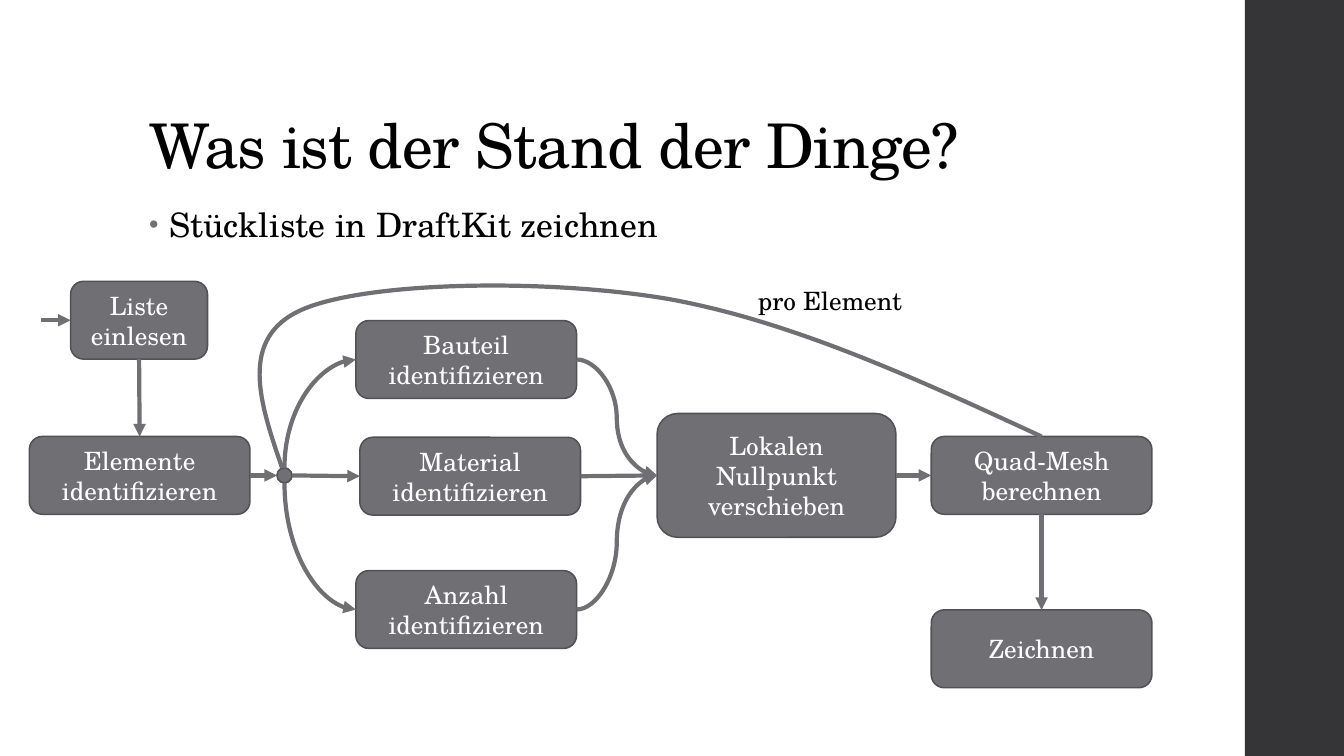
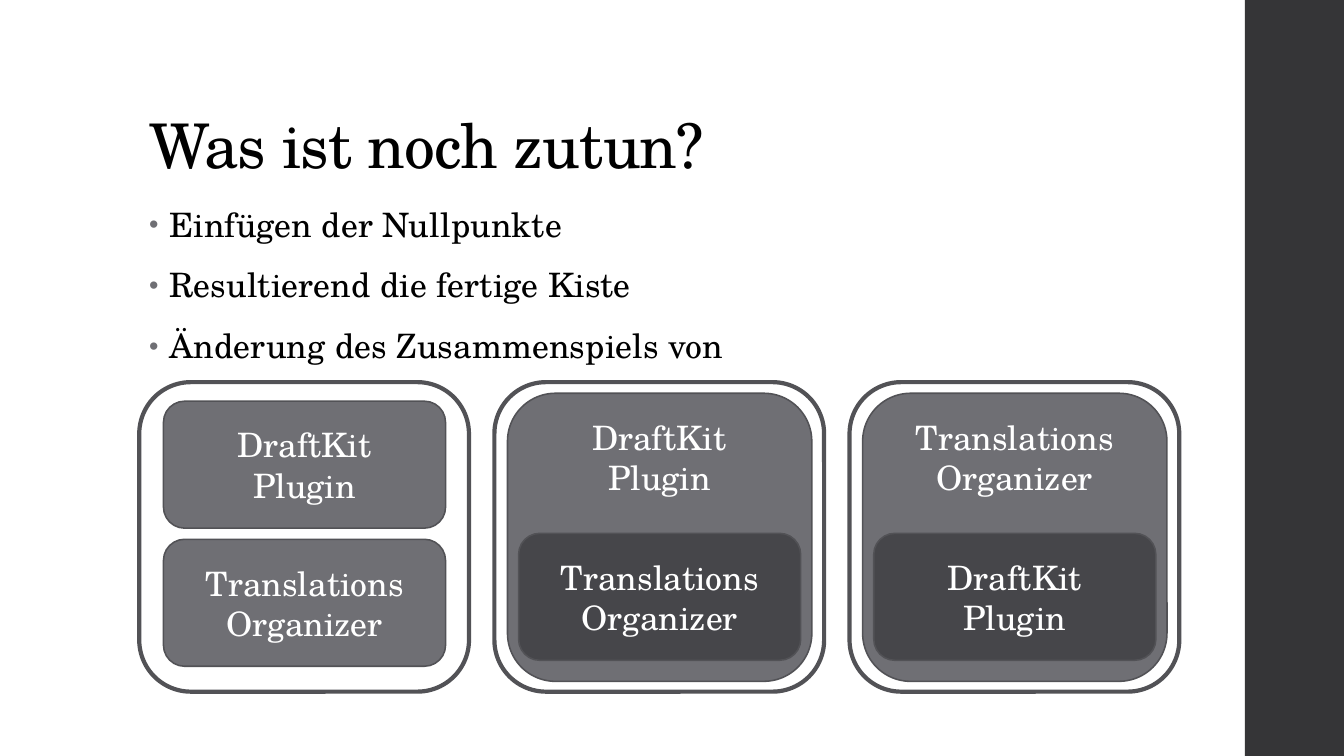
import pptx
import pptx.dml.color
import pptx.enum.shapes
import pptx.enum.text
import pptx.oxml
import pptx.oxml.ns
import pptx.util
from lxml import etree

Cm = pptx.util.Cm
Pt = pptx.util.Pt
qn = pptx.oxml.ns.qn
SHAPE = pptx.enum.shapes.MSO_SHAPE
CONNECTOR = pptx.enum.shapes.MSO_CONNECTOR
ALIGN = pptx.enum.text.PP_ALIGN
ANCHOR = pptx.enum.text.MSO_ANCHOR

FONT = "TeX Gyre Schola"
BLACK, WHITE = "000000", "FFFFFF"
BAND, GREY, DARK, EDGE = "353537", "6F6F74", "46464A", "525256"
TOP, LEFT, BOTTOM, RIGHT = range(4)
STEP_W, STEP_H = 5.56, 1.96
CARD_W, CARD_H = 8.31, 7.8
PART_W, PART_H = 7.11, 3.2


def rgb(code):
    return pptx.dml.color.RGBColor.from_string(code)


def add_bullet(paragraph):
    props = paragraph._p.get_or_add_pPr()
    props.set("marL", str(Cm(0.5)))
    props.set("indent", str(-Cm(0.5)))
    colour = etree.SubElement(props, qn("a:buClr"))
    etree.SubElement(colour, qn("a:srgbClr"), val=GREY)
    etree.SubElement(props, qn("a:buSzPct"), val="80000")
    etree.SubElement(props, qn("a:buFont"), typeface="Arial")
    etree.SubElement(props, qn("a:buChar"), char="•")


def write(shape, text, size=18, color=WHITE, align=ALIGN.CENTER, anchor=ANCHOR.MIDDLE,
          wrap=True, tracking=0, spacing=None, before=0, after=0, bullet=False):
    frame = shape.text_frame
    frame.word_wrap = wrap
    frame.vertical_anchor = anchor
    for index, line in enumerate(text.split("\n")):
        paragraph = frame.add_paragraph() if index else frame.paragraphs[0]
        paragraph.alignment = align
        paragraph.line_spacing = spacing
        paragraph.space_before = Pt(before)
        paragraph.space_after = Pt(after)
        if bullet:
            add_bullet(paragraph)
        run = paragraph.add_run()
        run.text = line
        run.font.name = FONT
        run.font.size = Pt(size)
        run.font.color.rgb = rgb(color)
        if tracking:
            run._r.get_or_add_rPr().set("spc", str(tracking))


def add_text(slide, left, top, width, height, text, **style):
    box = slide.shapes.add_textbox(Cm(left), Cm(top), Cm(width), Cm(height))
    write(box, text, **style)


def add_box(slide, left, top, width, height, text="", kind=SHAPE.ROUNDED_RECTANGLE,
            fill=GREY, edge=EDGE, weight=1.1, size=18):
    box = slide.shapes.add_shape(kind, Cm(left), Cm(top), Cm(width), Cm(height))
    box.shadow.inherit = False
    if fill:
        box.fill.solid()
        box.fill.fore_color.rgb = rgb(fill)
    else:
        box.fill.background()
    if edge:
        box.line.color.rgb = rgb(edge)
        box.line.width = Pt(weight)
    else:
        box.line.fill.background()
    if text:
        write(box, text, size=size)
    return box


def add_arrow(slide, source, source_side, target, target_side, kind=CONNECTOR.STRAIGHT):
    arrow = slide.shapes.add_connector(kind, 0, 0, 0, 0)
    for shape, side, connect, tag in (
        (source, source_side, arrow.begin_connect, "a:stCxn"),
        (target, target_side, arrow.end_connect, "a:endCxn"),
    ):
        connect(shape, side)
        if shape.auto_shape_type == SHAPE.OVAL:
            next(arrow._element.iter(qn(tag))).set("idx", str(2 * side))
    style_arrow(arrow)
    return arrow


def style_arrow(arrow):
    arrow.line.color.rgb = rgb(GREY)
    arrow.line.width = Pt(3)
    props = arrow._element.spPr
    etree.SubElement(props.find(qn("a:ln")), qn("a:tailEnd"), type="triangle")
    etree.SubElement(props, qn("a:effectLst"))


def add_quarter_arrow(slide, source, side, target):
    arrow = add_arrow(slide, source, side, target, LEFT, CONNECTOR.CURVE)
    middle_x = arrow.left + arrow.width // 2
    middle_y = arrow.top + arrow.height // 2
    arrow.width, arrow.height = arrow.height, arrow.width
    arrow.left = middle_x - arrow.width // 2
    arrow.top = middle_y - arrow.height // 2
    props = arrow._element.spPr
    props.find(qn("a:prstGeom")).set("prst", "curvedConnector2")
    frame = props.find(qn("a:xfrm"))
    frame.set("rot", "5400000" if side == TOP else "16200000")
    frame.set("flipH", "1")
    frame.set("flipV", "1" if side == TOP else "0")


def add_curve(slide, points):
    start, *rest = [(Cm(x), Cm(y)) for x, y in points]
    builder = slide.shapes.build_freeform(*start)
    builder.add_line_segments(rest, close=False)
    curve = builder.convert_to_shape()
    curve.shadow.inherit = False
    curve.fill.background()
    curve.line.color.rgb = rgb(GREY)
    curve.line.width = Pt(3)
    outline = next(curve._element.iter(qn("a:path")))
    segments = outline.findall(qn("a:lnTo"))
    for index in range(0, len(segments), 3):
        bezier = etree.SubElement(outline, qn("a:cubicBezTo"))
        for segment in segments[index:index + 3]:
            bezier.append(segment[0])
            outline.remove(segment)


def add_page(deck, title, points):
    slide = deck.slides.add_slide(deck.slide_layouts[6])
    add_box(slide, 31.37, 0, 2.54, 19.05, kind=SHAPE.RECTANGLE, fill=BAND, edge=None)
    add_text(slide, 3.51, 1.02, 26.92, 3.68, title, size=44, color=BLACK,
             align=ALIGN.LEFT, anchor=ANCHOR.BOTTOM, tracking=-50, spacing=0.9)
    add_text(slide, 3.51, 5.08, 23.88, 1.63 * len(points), "\n".join(points), size=24,
             color=BLACK, align=ALIGN.LEFT, anchor=ANCHOR.TOP, tracking=10,
             spacing=0.95, before=14, after=2, bullet=True)
    return slide


def add_flow(slide, left, top):
    def step(x, y, text, width=STEP_W, height=STEP_H):
        return add_box(slide, left + x, top + y, width, height, text)

    read = step(1.04, 0.03, "Liste\neinlesen", width=3.45)
    elements = step(0, 3.94, "Elemente identifizieren")
    component = step(8.23, 1.02, "Bauteil identifizieren")
    amount = step(8.23, 7.32, "Anzahl identifizieren")
    material = step(8.33, 3.96, "Material identifizieren")
    origin = step(15.82, 3.36, "Lokalen Nullpunkt verschieben", width=6.02, height=3.12)
    mesh = step(22.73, 3.94, "Quad-Mesh berechnen")
    draw = step(22.73, 8.31, "Zeichnen")
    junction = add_box(slide, left + 6.24, top + 4.73, 0.38, 0.38, kind=SHAPE.OVAL)

    entry = slide.shapes.add_connector(
        CONNECTOR.STRAIGHT, Cm(left + 0.3), Cm(top + 1.01), Cm(left + 1.04), Cm(top + 1.01))
    entry.end_connect(read, LEFT)
    style_arrow(entry)
    for source, source_side, target, target_side in (
        (read, BOTTOM, elements, TOP),
        (elements, RIGHT, junction, LEFT),
        (junction, RIGHT, material, LEFT),
        (material, RIGHT, origin, LEFT),
        (origin, RIGHT, mesh, LEFT),
        (mesh, BOTTOM, draw, TOP),
    ):
        add_arrow(slide, source, source_side, target, target_side)
    for side, branch in ((TOP, component), (BOTTOM, amount)):
        add_quarter_arrow(slide, junction, side, branch)
        add_arrow(slide, branch, RIGHT, origin, LEFT, CONNECTOR.CURVE)

    loop = [(25.51, 3.94), (22.37, 2.49), (19.22, 1.04), (16.13, 0.48), (13.05, -0.05),
            (8.51, 0.03), (6.88, 0.74), (5.25, 1.45), (5.81, 3.1), (6.37, 4.73)]
    add_curve(slide, [(left + x, top + y) for x, y in loop])
    add_text(slide, left + 18.11, top, 4.19, 1.02, "pro Element", color=BLACK,
             align=ALIGN.LEFT, anchor=ANCHOR.TOP, wrap=False)


def add_outline(slide, left, top):
    add_box(slide, left, top, CARD_W, CARD_H, fill=None, weight=3)


def add_stacked_card(slide, left, top, upper, lower):
    for y, text in ((0.48, upper), (3.96, lower)):
        add_box(slide, left + 0.61, top + y, PART_W, PART_H, text, size=24)
    add_outline(slide, left, top)


def add_nested_card(slide, left, top, outer, inner):
    add_box(slide, left + 0.33, top + 0.28, 7.67, 7.26)
    add_outline(slide, left, top)
    add_box(slide, left + 0.61, top + 3.81, PART_W, PART_H, inner, fill=DARK, size=24)
    add_text(slide, left + 1.05, top + 0.74, 6.22, 2.31, outer, size=24, anchor=ANCHOR.TOP)


def add_variants(slide, left, top):
    plugin, organizer = "DraftKit\nPlugin", "Translations\nOrganizer"
    variants = (
        (add_stacked_card, plugin, organizer),
        (add_nested_card, plugin, organizer),
        (add_nested_card, organizer, plugin),
    )
    for index, (add_card, first, second) in enumerate(variants):
        add_card(slide, left + index * 8.95, top, first, second)


def main():
    deck = pptx.Presentation()
    deck.slide_width, deck.slide_height = Cm(33.87), Cm(19.05)
    state = add_page(deck, "Was ist der Stand der Dinge?",
                     ["Stückliste in DraftKit zeichnen"])
    add_flow(state, 0.74, 7.06)
    todo = add_page(deck, "Was ist noch zutun?",
                    ["Einfügen der Nullpunkte", "Resultierend die fertige Kiste",
                     "Änderung des Zusammenspiels von"])
    add_variants(todo, 3.51, 9.63)
    deck.save("out.pptx")


if __name__ == "__main__":
    main()
